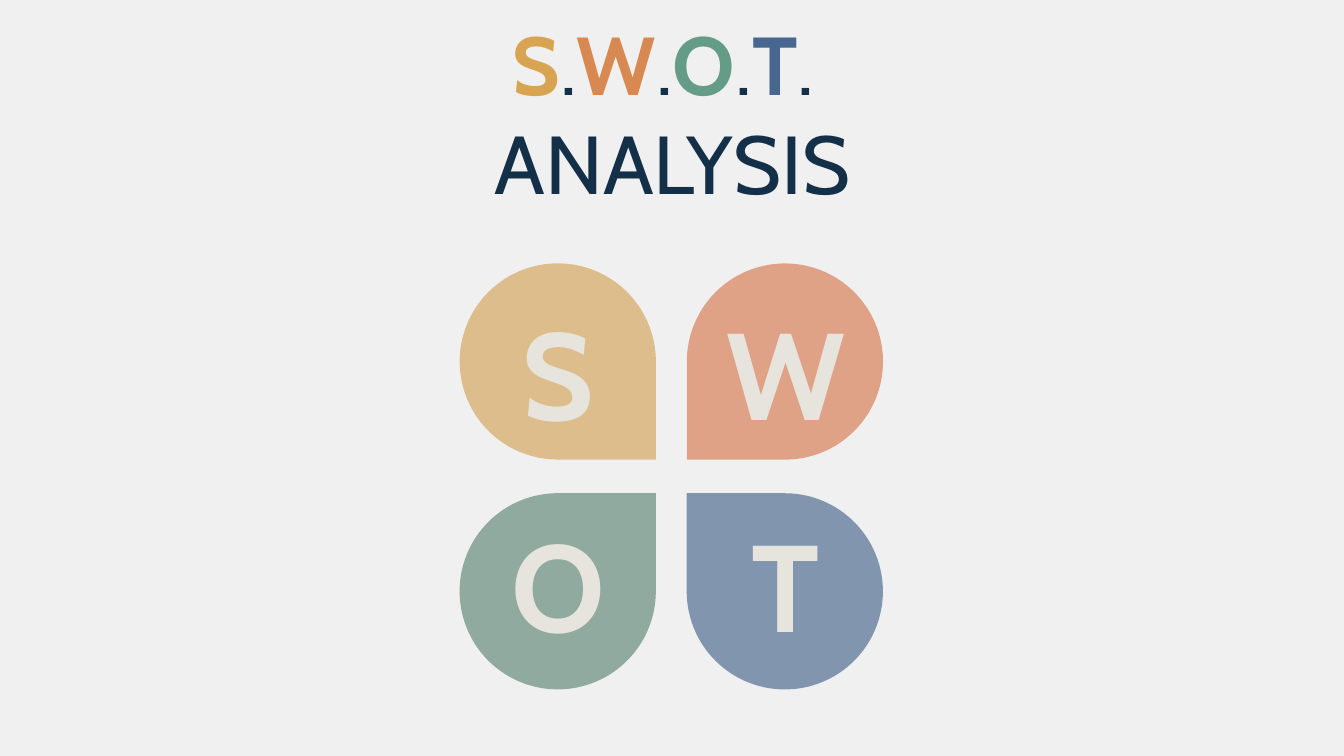
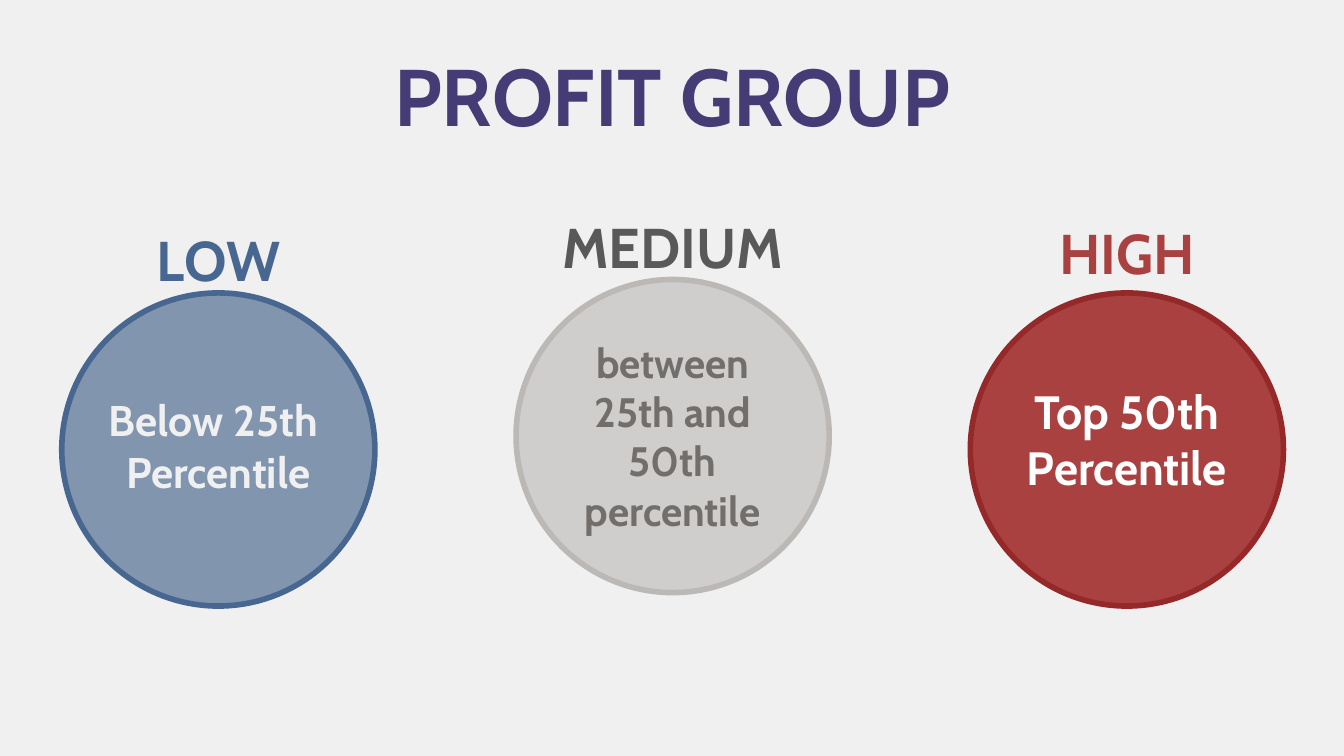
"""Build a SWOT analysis slide and a profit group slide."""
import pptx
import pptx.dml.color
import pptx.enum.shapes
import pptx.enum.text
import pptx.util

Inches = pptx.util.Inches
RGBColor = pptx.dml.color.RGBColor
SHAPES = pptx.enum.shapes.MSO_SHAPE
ANCHORS = pptx.enum.text.MSO_ANCHOR

FONT = "Cabin"
BACKGROUND = RGBColor(0xF0, 0xF0, 0xF0)
NAVY = RGBColor(0x14, 0x2F, 0x48)
GOLD = RGBColor(0xD8, 0xA4, 0x51)
ORANGE = RGBColor(0xD8, 0x89, 0x51)
GREEN = RGBColor(0x65, 0x9C, 0x87)
BLUE = RGBColor(0x48, 0x67, 0x90)
PALE_GOLD = RGBColor(0xDD, 0xBD, 0x8B)
PALE_ORANGE = RGBColor(0xE0, 0xA2, 0x87)
PALE_GREEN = RGBColor(0x90, 0xAA, 0xA0)
PALE_BLUE = RGBColor(0x81, 0x95, 0xAF)
CREAM = RGBColor(0xE7, 0xE4, 0xDD)
PURPLE = RGBColor(0x45, 0x3C, 0x75)
LIGHT_GRAY = RGBColor(0xD0, 0xCE, 0xCC)
MID_GRAY = RGBColor(0xBB, 0xB8, 0xB5)
TEXT_GRAY = RGBColor(0x72, 0x6E, 0x6B)
DARK_GRAY = RGBColor(0x59, 0x59, 0x59)
RED = RGBColor(0xAA, 0x41, 0x41)
DARK_RED = RGBColor(0x95, 0x29, 0x29)
WHITE = RGBColor(0xFF, 0xFF, 0xFF)

SWOT_TITLE = [
    [("S", GOLD, True), (".", NAVY, False), ("W", ORANGE, True), (".", NAVY, False),
     ("O", GREEN, True), (".", NAVY, False), ("T", BLUE, True), (". ", NAVY, False)],
    [("ANALYSIS", NAVY, False)],
]
PETALS = [
    dict(letter="S", column=0, row=0, fill=PALE_GOLD, rotation=90),
    dict(letter="W", column=1, row=0, fill=PALE_ORANGE, rotation=180),
    dict(letter="O", column=0, row=1, fill=PALE_GREEN, rotation=0),
    dict(letter="T", column=1, row=1, fill=PALE_BLUE, rotation=270),
]
PROFIT_GROUPS = [
    dict(label="LOW", label_color=BLUE, label_top=1.58, label_width=1.42,
         circle_top=2.18, fill=PALE_BLUE, line=BLUE,
         text="Below 25th \nPercentile", text_top=2.83, size=23, text_color=BACKGROUND),
    dict(label="MEDIUM", label_color=DARK_GRAY, label_top=1.48, label_width=2.04,
         circle_top=2.08, fill=LIGHT_GRAY, line=MID_GRAY,
         text="between 25th and 50th percentile", text_top=2.41, size=22,
         text_color=TEXT_GRAY),
    dict(label="HIGH", label_color=RED, label_top=1.53, label_width=1.42,
         circle_top=2.18, fill=RED, line=DARK_RED,
         text="Top 50th Percentile", text_top=2.75, size=25, text_color=WHITE),
]


def add_slide(presentation):
    slide = presentation.slides.add_slide(presentation.slide_layouts[6])
    slide.background.fill.solid()
    slide.background.fill.fore_color.rgb = BACKGROUND
    return slide


def add_text(slide, text, left, top, width, height, size, color=NAVY, anchor=ANCHORS.TOP):
    if isinstance(text, str):
        text = [[(line, color, True)] for line in text.split("\n")]
    box = slide.shapes.add_textbox(Inches(left), Inches(top), Inches(width), Inches(height))
    frame = box.text_frame
    frame.word_wrap = True
    frame.vertical_anchor = anchor
    frame.margin_left = frame.margin_right = Inches(0.1)
    frame.margin_top = frame.margin_bottom = Inches(0.1)
    for index, runs in enumerate(text):
        paragraph = frame.add_paragraph() if index else frame.paragraphs[0]
        paragraph.alignment = pptx.enum.text.PP_ALIGN.CENTER
        for run_text, run_color, bold in runs:
            run = paragraph.add_run()
            run.text = run_text
            run.font.name = FONT
            run.font.size = pptx.util.Pt(size)
            run.font.bold = bold
            run.font.color.rgb = run_color


def add_filled_shape(slide, kind, left, top, size, fill, line=None):
    shape = slide.shapes.add_shape(kind, Inches(left), Inches(top), Inches(size), Inches(size))
    shape.shadow.inherit = False
    shape.fill.solid()
    shape.fill.fore_color.rgb = fill
    if line is None:
        shape.line.fill.background()
    else:
        shape.line.color.rgb = line
        shape.line.width = pptx.util.Pt(3)
    return shape


def build_swot_slide(presentation):
    slide = add_slide(presentation)
    add_text(slide, SWOT_TITLE, 2.21, 0, 5.59, 1.68, size=44)
    letter_tops = (2.11, 3.69)
    for petal in PETALS:
        left = 3.42 + 1.69 * petal["column"]
        shape = add_filled_shape(slide, SHAPES.TEAR, left, 1.96 + 1.71 * petal["row"],
                                 1.46, petal["fill"])
        shape.rotation = petal["rotation"]
        add_text(slide, petal["letter"], left + 0.09, letter_tops[petal["row"]],
                 1.29, 1.41, size=66, color=CREAM)


def build_profit_slide(presentation):
    slide = add_slide(presentation)
    add_text(slide, "PROFIT GROUP", 0.34, 0.26, 9.32, 0.89, size=43, color=PURPLE,
             anchor=ANCHORS.MIDDLE)
    diameter, text_width = 2.33, 1.94
    for index, group in enumerate(PROFIT_GROUPS):
        left = 0.46 + 3.38 * index
        center = left + diameter / 2
        add_filled_shape(slide, SHAPES.OVAL, left, group["circle_top"], diameter,
                         group["fill"], group["line"])
        add_text(slide, group["label"], center - group["label_width"] / 2,
                 group["label_top"], group["label_width"], 0.6,
                 size=30, color=group["label_color"])
        add_text(slide, group["text"], center - text_width / 2, group["text_top"],
                 text_width, 0.74, size=group["size"], color=group["text_color"])


def main():
    presentation = pptx.Presentation()
    presentation.slide_width = Inches(10)
    presentation.slide_height = Inches(10 * 9 / 16)
    build_swot_slide(presentation)
    build_profit_slide(presentation)
    presentation.save("out.pptx")


if __name__ == "__main__":
    main()
